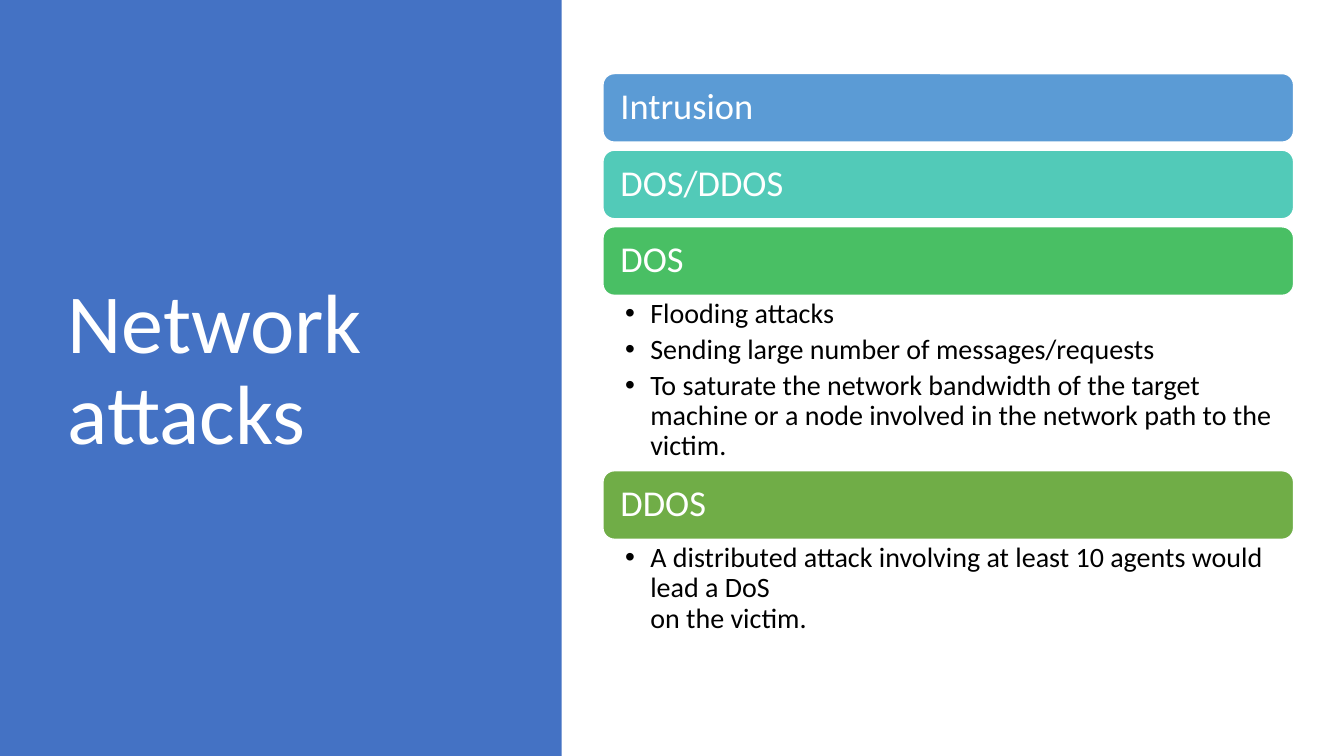
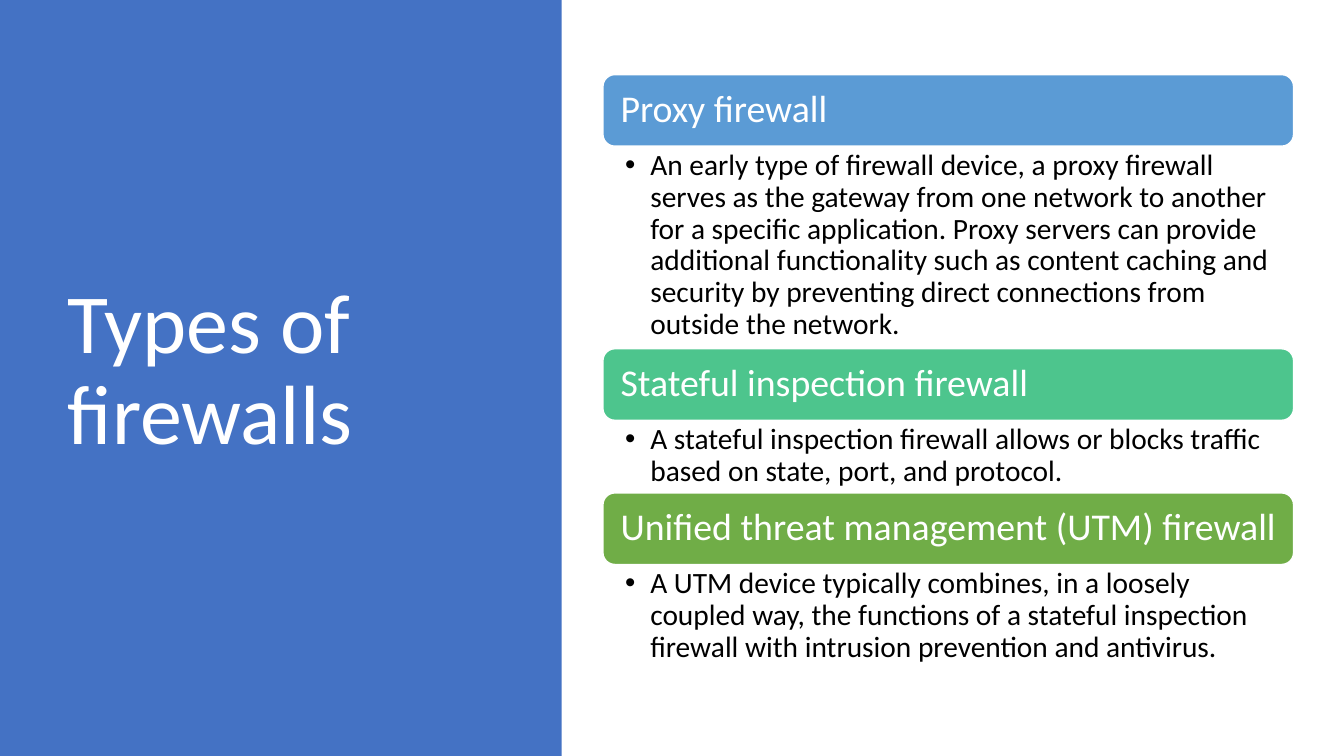
from lxml.etree import SubElement
from pptx import Presentation
from pptx.dml.color import RGBColor
from pptx.enum.shapes import MSO_SHAPE as Shape
from pptx.enum.text import MSO_ANCHOR as Anchor, MSO_AUTO_SIZE as Auto, PP_ALIGN as Align
from pptx.oxml.ns import qn
from pptx.util import Inches, Pt

FONT = "Calibri"
COLORS = {
    "band": "4472C4", "white": "FFFFFF", "black": "000000", "blue": "5B9BD5",
    "teal": "52CAB8", "green": "49BF64", "mint": "4DC58D", "olive": "70AD47",
}
WIDE, HIGH = 13.33, 7.5
BAND = (0, 0, 5.57, HIGH)
TITLE = (0.57, 0.68, 4.16, 6.02)
LEFT, WIDTH, GAP = 5.98, 6.85, 0.08

ATTACKS = [
    ("Intrusion", "blue", 0, []),
    ("DOS/DDOS", "teal", 0, []),
    ("DOS", "green", 1.74, [
        "Flooding attacks",
        "Sending large number of messages/requests",
        "To saturate the network bandwidth of the target machine or a node "
        "involved in the network path to the victim.",
    ]),
    ("DDOS", "olive", 1.29, [
        "A distributed attack involving at least 10 agents would lead a DoS\non the victim.",
    ]),
]
WALLS = [
    ("Proxy firewall", "blue", 2.01, [
        "An early type of firewall device, a proxy firewall serves as the gateway "
        "from one network to another for a specific application. Proxy servers can "
        "provide additional functionality such as content caching and security by "
        "preventing direct connections from outside the network.",
    ]),
    ("Stateful inspection firewall", "mint", 0.72, [
        "A stateful inspection firewall allows or blocks traffic based on state, "
        "port, and protocol.",
    ]),
    ("Unified threat management (UTM) firewall", "olive", 1.04, [
        "A UTM device typically combines, in a loosely coupled way, the functions of "
        "a stateful inspection firewall with intrusion prevention and antivirus.",
    ]),
]


def color(name):
    return RGBColor.from_string(COLORS[name])


def inches(box):
    return [Inches(n) for n in box]


def setup(frame, anchor, insets):
    frame.word_wrap = True
    frame.auto_size = Auto.NONE
    frame.vertical_anchor = anchor
    (frame.margin_left, frame.margin_top,
     frame.margin_right, frame.margin_bottom) = inches(insets)


def write(para, text, size, ink):
    para.alignment = Align.LEFT
    para.line_spacing = 0.9
    for i, line in enumerate(text.split("\n")):
        if i:
            para.add_line_break()
        run = para.add_run()
        run.text = line
        run.font.name = FONT
        run.font.size = Pt(size)
        run.font.color.rgb = color(ink)


def bullet(para):
    props = para._p.get_or_add_pPr()
    props.set("marL", str(Inches(0.25)))
    props.set("indent", str(Inches(-0.25)))
    SubElement(props, qn("a:buFont")).set("typeface", "Arial")
    SubElement(props, qn("a:buChar")).set("char", "•")


def add_block(slide, kind, box, fill):
    block = slide.shapes.add_shape(kind, *inches(box))
    block.shadow.inherit = False
    block.fill.solid()
    block.fill.fore_color.rgb = color(fill)
    block.line.fill.background()
    return block


def add_title(slide, text):
    title = slide.shapes.title
    band = add_block(slide, Shape.RECTANGLE, BAND, "band")
    title.element.addprevious(band.element)
    title.left, title.top, title.width, title.height = inches(TITLE)
    setup(title.text_frame, Anchor.MIDDLE, (0.1, 0.05, 0.1, 0.05))
    write(title.text_frame.paragraphs[0], text, 60, "white")


def add_bar(slide, box, text, fill, size):
    bar = add_block(slide, Shape.ROUNDED_RECTANGLE, box, fill)
    bar.line.color.rgb = color("white")
    bar.line.width = Pt(1)
    setup(bar.text_frame, Anchor.MIDDLE, (0.14, 0.11, 0.14, 0.11))
    write(bar.text_frame.paragraphs[0], text, size, "white")


def add_body(slide, box, items, size):
    frame = slide.shapes.add_textbox(*inches(box)).text_frame
    setup(frame, Anchor.TOP, (0.22, 0.04, 0.2, 0.04))
    for i, item in enumerate(items):
        para = frame.add_paragraph() if i else frame.paragraphs[0]
        write(para, item, size, "black")
        para.space_after = Pt(size * 0.2)
        bullet(para)


def add_list(slide, top, bar, head, body, parts):
    for text, fill, depth, items in parts:
        add_bar(slide, (LEFT, top, WIDTH, bar), text, fill, head)
        top += bar
        if items:
            add_body(slide, (LEFT, top, WIDTH, depth), items, body)
        top += depth or GAP


def add_page(deck, title, *plan):
    slide = deck.slides.add_slide(deck.slide_layouts[5])
    add_title(slide, title)
    add_list(slide, *plan)


def main():
    deck = Presentation()
    deck.slide_width, deck.slide_height = inches((WIDE, HIGH))
    add_page(deck, "Network attacks", 0.73, 0.68, 26, 20, ATTACKS)
    add_page(deck, "Types of firewalls", 0.74, 0.71, 27, 21, WALLS)
    deck.save("out.pptx")


if __name__ == "__main__":
    main()
